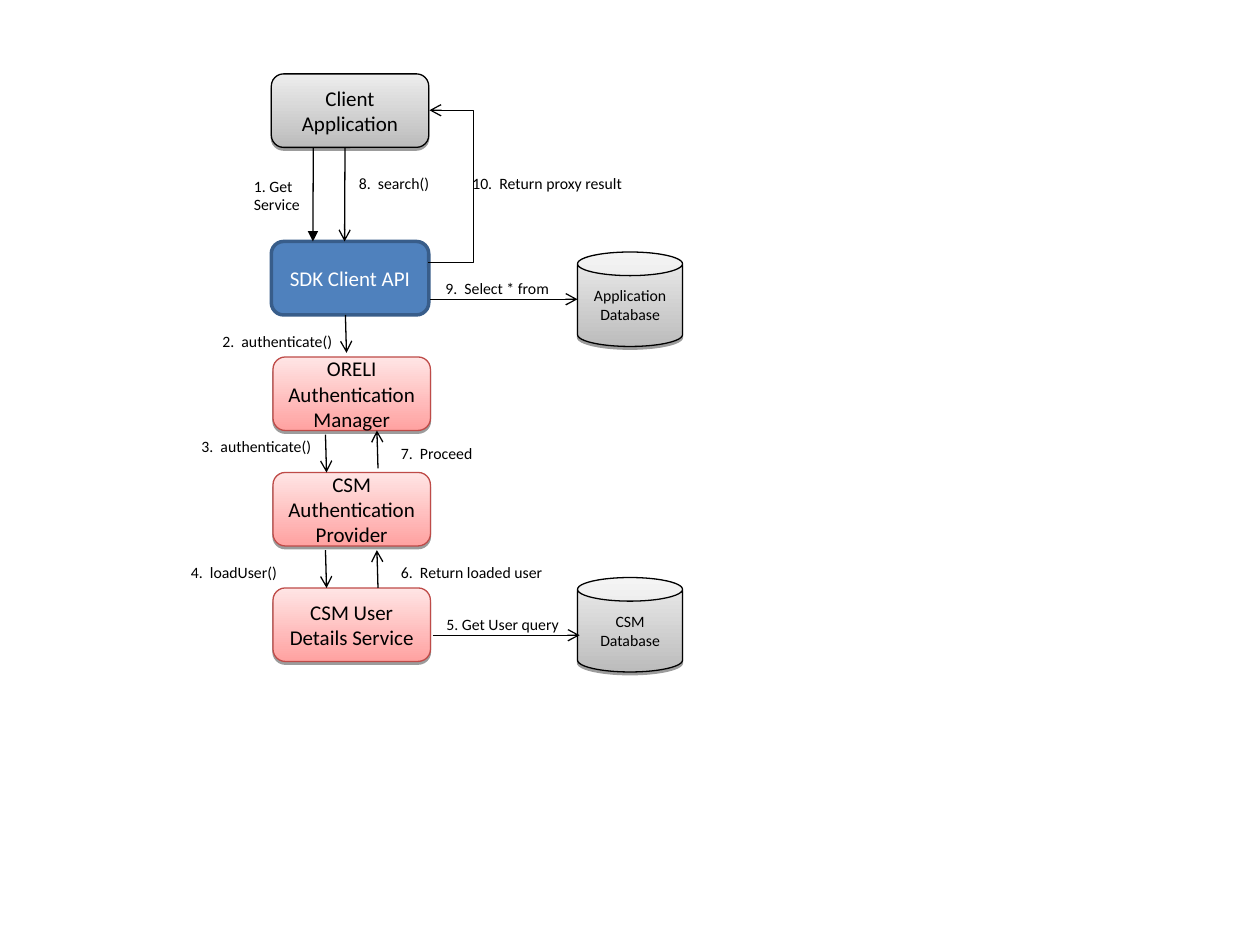
from lxml.etree import SubElement
from pptx import Presentation
from pptx.dml.color import RGBColor
from pptx.enum.shapes import MSO_CONNECTOR, MSO_SHAPE
from pptx.enum.text import MSO_ANCHOR, MSO_AUTO_SIZE, PP_ALIGN
from pptx.oxml.ns import qn
from pptx.util import Inches, Pt

HUES = {
    "black": "000000", "white": "FFFFFF",
    "blue": "4F81BD", "navy": "385D8A",
    "ash": "BCBCBC", "mist": "EDEDED",
    "rose": "FFA2A1", "blush": "FFE5E5", "brick": "BE4B48",
}
deck = Presentation()
deck.slide_width, deck.slide_height = Inches(10), Inches(7.5)
slide = deck.slides.add_slide(deck.slide_layouts[6])
COL = deck.slide_width / 120
ROW = deck.slide_height / 90


def hue(name):
    return RGBColor.from_string(HUES[name])


def spot(x, y):
    return round(x * COL), round(y * ROW)


box, can = MSO_SHAPE.ROUNDED_RECTANGLE, MSO_SHAPE.CAN
gray = ("ash", "mist", "black")
red = ("rose", "blush", "brick")
nodes = [
    ("Client Application", box, 25.84, 7.04, gray),
    ("SDK Client API", box, 25.84, 23, None),
    ("Application Database", can, 55, 24, gray),
    ("ORELI Authentication Manager", box, 26, 34, red),
    ("CSM Authentication Provider", box, 26, 45, red),
    ("CSM User Details Service", box, 26, 56, red),
    ("CSM Database", can, 55, 55, gray),
]
for text, kind, x, y, tint in nodes:
    size = spot(15, 7) if kind == box else spot(10, 9)
    node = slide.shapes.add_shape(kind, *spot(x, y), *size)
    node.shadow.inherit = False
    if tint:
        low, high, edge = tint
        node.fill.gradient()
        node.fill.gradient_angle = 90
        for stop, name in zip(node.fill.gradient_stops, (low, high)):
            stop.color.rgb = hue(name)
        glow = node._element.spPr.find(qn("a:effectLst"))
        shade = SubElement(glow, qn("a:outerShdw"), blurRad="0", dist=str(Pt(1.6)),
                           dir="5400000", rotWithShape="0")
        ink = SubElement(shade, qn("a:srgbClr"), val=HUES["black"])
        SubElement(ink, qn("a:alpha"), val="38000")
    else:
        edge = "navy"
        node.fill.solid()
        node.fill.fore_color.rgb = hue("blue")
    node.line.color.rgb = hue(edge)
    node.line.width = Pt(0.75 if tint else 2)
    frame = node.text_frame
    frame.word_wrap = True
    frame.vertical_anchor = MSO_ANCHOR.MIDDLE
    if tint == red:
        frame.margin_left = frame.margin_right = Inches(0.05)
    frame.text = text
    para = frame.paragraphs[0]
    para.alignment = PP_ALIGN.CENTER
    para.font.name, para.font.size = "Calibri", Pt(12 if kind == box else 9)
    para.font.color.rgb = hue("black" if tint else "white")

links = [
    (29.84, 14.04, 29.8, 23, "triangle"),
    (32.86, 14.04, 32.82, 23, "arrow"),
    (41, 28.5, 55, 28.5, "arrow"),
    (32.9, 30, 33, 33.6, "arrow"),
    (31, 41.4, 31.1, 45, "arrow"),
    (36, 44.6, 35.9, 41, "arrow"),
    (31, 52.4, 31.1, 56, "arrow"),
    (36, 56, 35.9, 52.4, "arrow"),
    (41.2, 60.5, 55.2, 60.5, "arrow"),
    (40.8, 25, 40.9, 10.5, "arrow"),
]
for x, y, right, low, tip in links:
    bent = low < 20 and y > 20
    kind = MSO_CONNECTOR.ELBOW if bent else MSO_CONNECTOR.STRAIGHT
    link = slide.shapes.add_connector(kind, *spot(x, y), *spot(right, low))
    link.line.color.rgb = hue("black")
    link.line.width = Pt(0.75)
    prop = link._element.spPr
    SubElement(link.line._get_or_add_ln(), qn("a:tailEnd"), type=tip)
    SubElement(prop, qn("a:effectLst"))
    if bent:
        guides = prop.find(qn("a:prstGeom")).get_or_add_avLst()
        SubElement(guides, qn("a:gd"), name="adj1", fmla="val 4300000")

notes = [
    ("1. Get\nService", 23, 16.2, 6.8, 4.8),
    ("8.  search()", 33, 16, 9.1, 3),
    (" 9.  Select * from", 40.9, 25.95, 12.6, 3),
    ("10.  Return proxy result", 43.8, 15.95, 16.7, 3),
    ("2.  authenticate()", 20, 31, 12.9, 3),
    ("3.  authenticate()", 18, 41, 12.9, 3),
    ("4.  loadUser()", 17, 53, 10.8, 3),
    (" 5. Get User query", 41, 58, 13.5, 3),
    ("6.  Return loaded user", 37, 53, 16, 3),
    ("7.  Proceed", 37, 41.7, 9.3, 3),
]
for text, x, y, wide, tall in notes:
    frame = slide.shapes.add_textbox(*spot(x, y), *spot(wide, tall)).text_frame
    frame.word_wrap = "\n" in text
    frame.auto_size = MSO_AUTO_SIZE.SHAPE_TO_FIT_TEXT
    frame.text = text
    for para in frame.paragraphs:
        para.font.name, para.font.size = "Calibri", Pt(9)
        para.font.color.rgb = hue("black")

deck.save("out.pptx")
